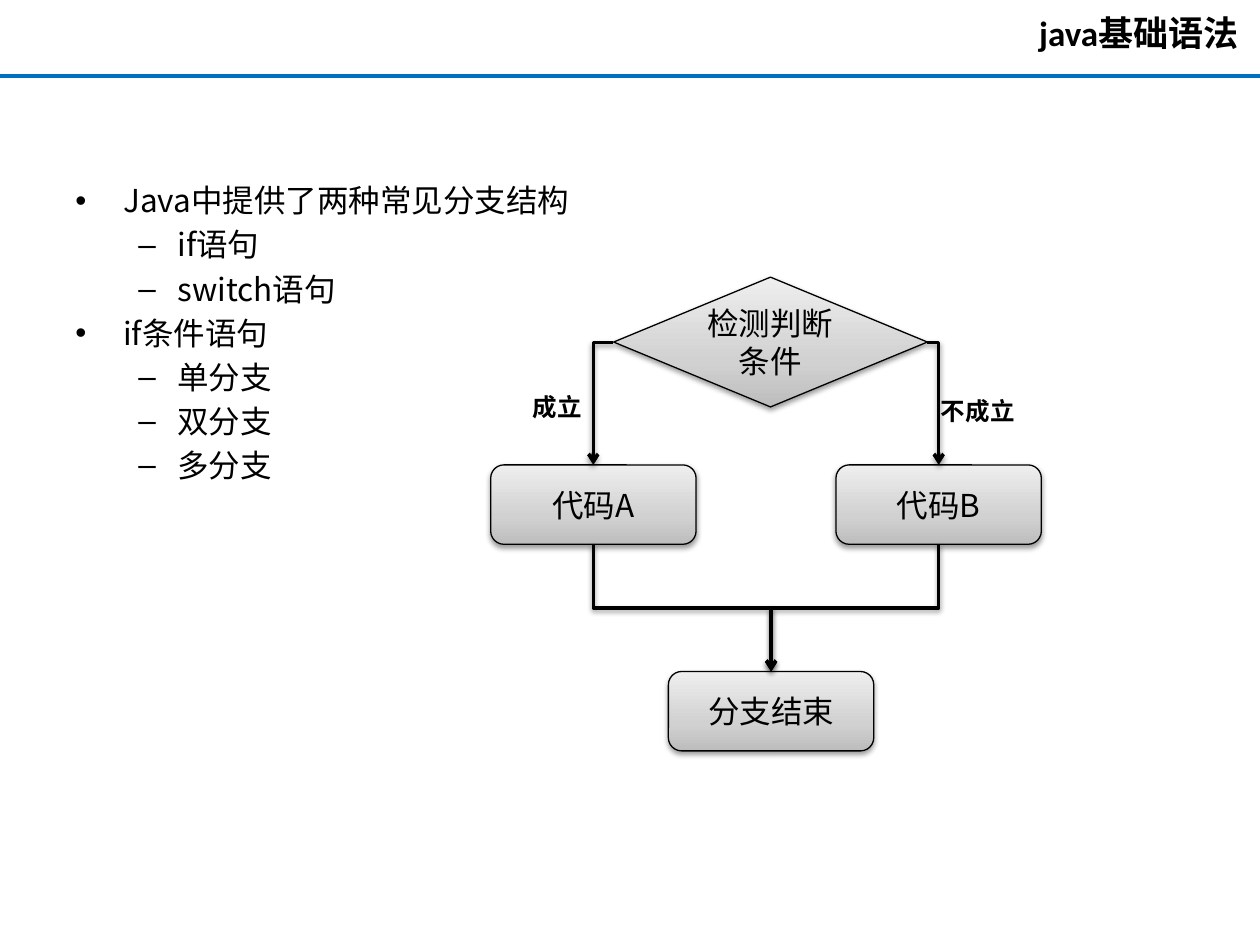
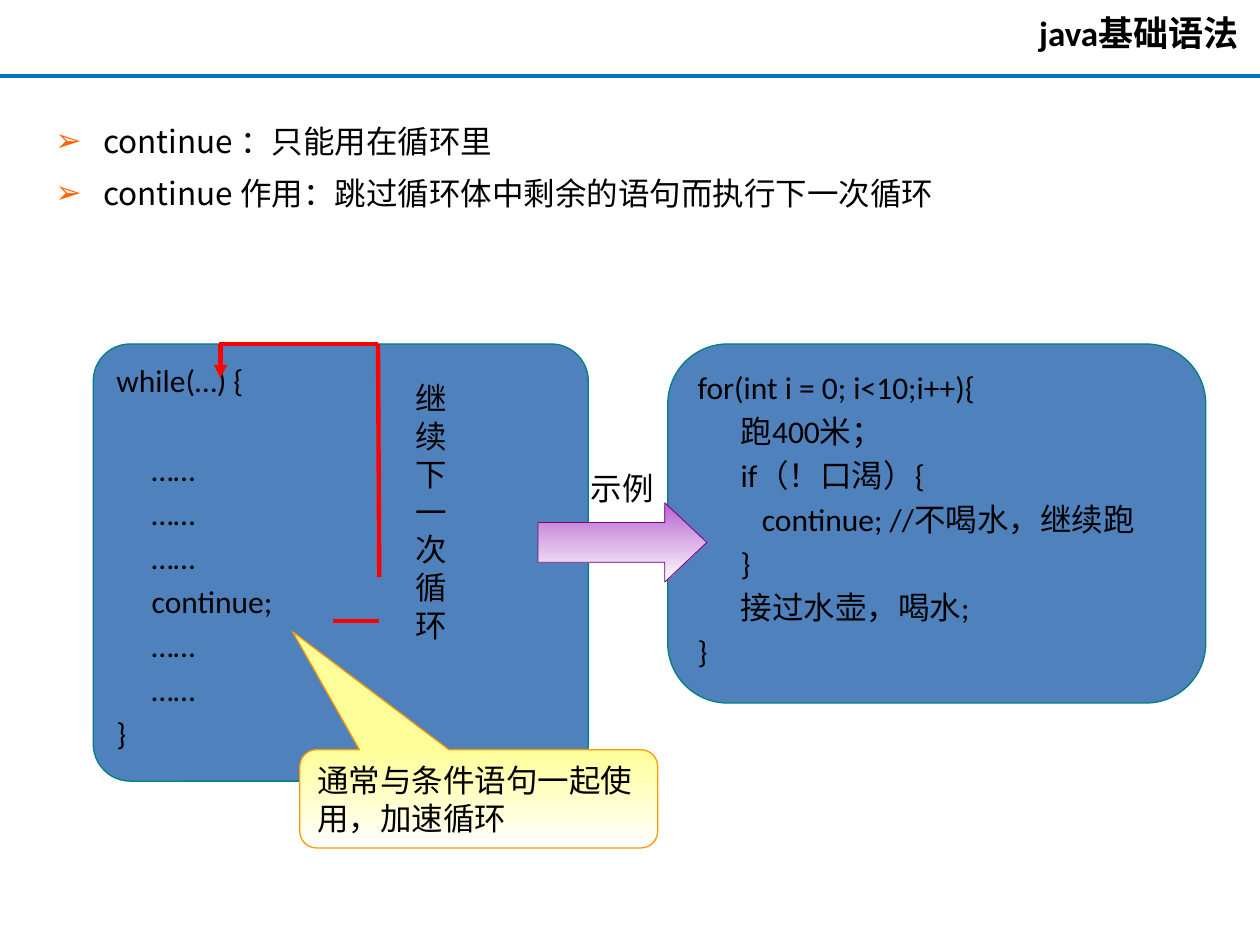
"""Build two slides on Java branches and the continue statement."""
from dataclasses import dataclass
from typing import Any, NamedTuple

from lxml import etree
from pptx import Presentation
from pptx import util as u
from pptx.dml.color import RGBColor
from pptx.enum import shapes, text
from pptx.oxml import ns

COLUMNS, ROWS = 100, 75
CELL = u.Inches(0.1)
SANS, CODE = "Noto Sans CJK SC", "Calibri"
BLACK, RED, RULE_BLUE, PANEL_BLUE, TEAL = "000000", "FF0000", "0070C0", "4F81BD", "008080"
GREY_STOPS = ((0, "BDBDBD"), (35, "D1D1D1"), (100, "EEEEEE"))
SHAPE = shapes.MSO_SHAPE
TOP, MIDDLE = text.MSO_ANCHOR.TOP, text.MSO_ANCHOR.MIDDLE
LEFT, CENTER, RIGHT = text.PP_ALIGN.LEFT, text.PP_ALIGN.CENTER, text.PP_ALIGN.RIGHT
GAP = 3.6
BRANCH_A, BRANCH_B, MERGE = 47.1, 74.5, 61.2
NODE_WIDTH, NODE_HEIGHT = 16.3, 6.3
CODE_ROW, END_ROW, TEST_ROW = 36.9, 53.3, 27.2


class Area(NamedTuple):
    left: float
    top: float
    width: float
    height: float


class Point(NamedTuple):
    column: float
    row: float


@dataclass(frozen=True)
class Line:
    words: str
    indent: float = 0
    hanging: float = 0
    bullet: str = ""
    bullet_color: str = ""
    before: float = GAP
    spacing: float = 1.0


@dataclass(frozen=True)
class Style:
    size: int = 18
    font: str = SANS
    bold: bool = False
    align: Any = LEFT
    anchor: Any = TOP
    wrap: bool = True


@dataclass(frozen=True)
class Look:
    line: str
    width: float = 0.75
    fill: str = ""
    stops: tuple = ()
    angle: int = 90
    shadow: bool = False


NODE_LOOK = Look(BLACK, stops=GREY_STOPS, angle=270, shadow=True)
PANEL_LOOK = Look(TEAL, fill=PANEL_BLUE)
NODE_STYLE = Style(align=CENTER, anchor=MIDDLE)
CODE_STYLE = Style(font=CODE)


def cells(*counts: float) -> list[int]:
    """Turn grid counts into lengths."""
    return [int(count * CELL) for count in counts]


def color(code: str) -> RGBColor:
    """Turn a hex string into a colour."""
    return RGBColor.from_string(code)


def assign(target: Any, values: dict[str, Any]) -> None:
    """Set every named attribute on a target."""
    for name, value in values.items():
        setattr(target, name, value)


def child(parent: Any, tag: str, **values: Any) -> Any:
    """Append a drawing element with its attributes."""
    return etree.SubElement(parent, ns.qn(f"a:{tag}"), {name: str(value) for name, value in values.items()})


def add_effects(item: Any, shadow: bool) -> None:
    """Replace the theme effects by a soft shadow or by none."""
    effects = child(item._element.spPr, "effectLst")
    if shadow:
        outer = child(effects, "outerShdw", blurRad=u.Pt(3.1), dist=u.Pt(1.6), dir=5400000, rotWithShape=0)
        child(child(outer, "srgbClr", val=BLACK), "alpha", val=38000)


def set_gradient(item: Any, stops: tuple, angle: int) -> None:
    """Fill a shape with a linear gradient."""
    item.fill.gradient()
    gradient = item._element.spPr.find(ns.qn("a:gradFill"))
    for part in list(gradient):
        gradient.remove(part)
    stop_list = child(gradient, "gsLst")
    for place, code in stops:
        child(child(stop_list, "gs", pos=place * 1000), "srgbClr", val=code)
    child(gradient, "lin", ang=angle * 60000, scaled=0)


def write(frame: Any, lines: list[Line], style: Style) -> None:
    """Write formatted paragraphs into a text frame."""
    assign(frame, {"word_wrap": style.wrap, "vertical_anchor": style.anchor, "auto_size": text.MSO_AUTO_SIZE.NONE})
    for index, line in enumerate(lines):
        para = frame.add_paragraph() if index else frame.paragraphs[0]
        before = line.before if index else 0
        assign(para, {"alignment": style.align, "space_before": u.Pt(before), "line_spacing": line.spacing})
        properties = para._p.get_or_add_pPr()
        properties.set("marL", str(u.Inches(line.indent)))
        properties.set("indent", str(-u.Inches(line.hanging)))
        if line.bullet_color:
            child(child(properties, "buClr"), "srgbClr", val=line.bullet_color)
        if line.bullet:
            child(properties, "buFont", typeface="Arial")
            child(properties, "buChar", char=line.bullet)
        span = para.add_run()
        span.text = line.words
        assign(span.font, {"size": u.Pt(style.size), "bold": style.bold, "name": style.font})
        span.font.color.rgb = color(BLACK)
        child(span._r.get_or_add_rPr(), "ea", typeface=SANS)


def add_text(page: Any, area: Area, lines: list[Line], style: Style) -> None:
    """Add a text box."""
    write(page.shapes.add_textbox(*cells(*area)).text_frame, lines, style)


def add_box(page: Any, kind: Any, area: Area, look: Look, lines: list[Line],
            style: Style = NODE_STYLE, adjust: tuple = ()) -> None:
    """Add a preset shape with its look and text."""
    box = page.shapes.add_shape(kind, *cells(*area))
    for index, value in enumerate(adjust):
        box.adjustments[index] = value
    if look.stops:
        set_gradient(box, look.stops, look.angle)
    else:
        box.fill.solid()
        box.fill.fore_color.rgb = color(look.fill)
    box.line.color.rgb = color(look.line)
    box.line.width = u.Pt(look.width)
    add_effects(box, look.shadow)
    if lines:
        write(box.text_frame, lines, style)


def add_line(page: Any, start: Point, end: Point, look: Look, head: str = "", preset: str = "line") -> Any:
    """Add a straight or bent connector."""
    link = page.shapes.add_connector(shapes.MSO_CONNECTOR.STRAIGHT, *cells(*start, *end))
    link._element.spPr.find(ns.qn("a:prstGeom")).set("prst", preset)
    link.line.color.rgb = color(look.line)
    link.line.width = u.Pt(look.width)
    if head:
        child(link.line._get_or_add_ln(), "tailEnd", type=head)
    add_effects(link, look.shadow)
    return link


def add_merge(page: Any, start: Point, end: Point, look: Look) -> None:
    """Add a connector that goes down, across and down again."""
    middle = Point((start.column + end.column) / 2, (start.row + end.row) / 2)
    half_width = (end.row - start.row) / 2
    half_height = abs(end.column - start.column) / 2
    side = 1 if start.column > end.column else -1
    link = add_line(page, Point(middle.column - side * half_width, middle.row - half_height),
                    Point(middle.column + side * half_width, middle.row + half_height),
                    look, "arrow", "bentConnector3")
    link._element.spPr.find(ns.qn("a:xfrm")).set("rot", str((90 if side > 0 else 270) * 60000))


def new_page(deck: Any) -> Any:
    """Add a page with the shared title and rule."""
    page = deck.slides.add_slide(deck.slide_layouts[5])
    title = page.shapes.title
    assign(title, dict(zip(("left", "top", "width", "height"), cells(68.9, 0.4, 31.1, 4.4))))
    title.text_frame.margin_right = u.Inches(0.17)
    write(title.text_frame, [Line("java基础语法")], Style(20, CODE, True, RIGHT))
    add_line(page, Point(0, 6), Point(COLUMNS, 6), Look(RULE_BLUE, 2.25))
    return page


def add_node(page: Any, center: float, top: float, words: str) -> None:
    """Add a flowchart step centred on a column."""
    area = Area(center - NODE_WIDTH / 2, top, NODE_WIDTH, NODE_HEIGHT)
    add_box(page, SHAPE.ROUNDED_RECTANGLE, area, NODE_LOOK, [Line(words)])


def build_branches(deck: Any) -> None:
    """Build the page on branch structures."""
    page = new_page(deck)
    outline = (("Java中提供了两种常见分支结构", ("if语句", "switch语句")),
               ("if条件语句", ("单分支", "双分支", "多分支")))
    lines = []
    for topic, details in outline:
        lines.append(Line(topic, 0.38, 0.38, "•"))
        lines.extend(Line(detail, 0.81, 0.31, "–") for detail in details)
    add_text(page, Area(5, 13.9, 90, 49.5), lines, Style())
    test = Area(48.7, 22, 24.9, 10.3)
    add_box(page, SHAPE.DIAMOND, test, NODE_LOOK, [Line("检测判断条件")], NODE_STYLE)
    for center, top, words in ((BRANCH_A, CODE_ROW, "代码A"), (BRANCH_B, CODE_ROW, "代码B"),
                               (MERGE, END_ROW, "分支结束")):
        add_node(page, center, top, words)
    flow = Look(BLACK, 2, shadow=True)
    for corner, center in ((test.left, BRANCH_A), (test.left + test.width, BRANCH_B)):
        add_line(page, Point(corner, TEST_ROW), Point(center, CODE_ROW), flow, "arrow", "bentConnector2")
        add_merge(page, Point(center, CODE_ROW + NODE_HEIGHT), Point(MERGE, END_ROW), flow)
    label = Style(14, bold=True, wrap=False)
    add_text(page, Area(41.3, 30.6, 6.5, 3.4), [Line("成立")], label)
    add_text(page, Area(73.7, 30.9, 8.7, 3.4), [Line("不成立")], label)


def build_continue(deck: Any) -> None:
    """Build the page on the continue statement."""
    page = new_page(deck)
    points = (("continue ：只能用在循环里", 1.0), ("continue 作用：跳过循环体中剩余的语句而执行下一次循环", 1.2))
    add_text(page, Area(3.4, 9.2, 94.9, 49.5),
             [Line(words, 0.38, 0.38, "➢", "FF6600", spacing=spacing) for words, spacing in points], Style())
    dots = Line("……", 0.28)
    loop = [Line("while(…) {"), Line("……", 0.28, before=29), dots, dots,
            Line("continue;", 0.28), dots, dots, Line("}")]
    add_box(page, SHAPE.ROUNDED_RECTANGLE, Area(7.4, 27.3, 39.3, 34.7), PANEL_LOOK, loop, CODE_STYLE, (0.085,))
    jump = Look(RED, 2.5)
    for start, end, head in ((Point(30.1, 49.3), Point(26.4, 49.3), ""),
                             (Point(17.4, 27.3), Point(30, 27.3), ""),
                             (Point(30, 27.3), Point(30.1, 45.8), ""),
                             (Point(17.5, 27.3), Point(17.5, 30), "triangle")):
        add_line(page, start, end, jump, head)
    add_text(page, Area(32, 29.6, 5, 22.8), [Line("继续下一次循环")], CODE_STYLE)
    add_box(page, SHAPE.ROUNDED_RECTANGULAR_CALLOUT, Area(23.8, 59.5, 28.4, 7.8),
            Look("FF9900", stops=((0, "FFFF99"), (100, "FFFFFF"))),
            [Line("通常与条件语句一起使用，加速循环")], CODE_STYLE, (-0.52, -1.7, 0.17))
    example = [Line("for(int i = 0; i<10;i++){"), Line("跑400米；", 0.34), Line("if（！口渴）{", 0.34),
               Line("continue; //不喝水，继续跑", 0.51), Line("}", 0.34), Line("接过水壶，喝水;", 0.34), Line("}")]
    add_box(page, SHAPE.ROUNDED_RECTANGLE, Area(53, 27.3, 42.7, 28.5), PANEL_LOOK, example, CODE_STYLE, (0.167,))
    add_box(page, SHAPE.RIGHT_ARROW, Area(42.7, 39.9, 13.4, 6.3),
            Look("800080", 0.5, stops=((0, "B563CF"), (100, "FFFFFF"))), [], adjust=(0.5, 0.53))
    add_text(page, Area(45.9, 36.7, 9.4, 4), [Line("示例")], CODE_STYLE)


def main() -> None:
    """Build and save the deck."""
    deck = Presentation()
    deck.slide_width, deck.slide_height = cells(COLUMNS, ROWS)
    build_branches(deck)
    build_continue(deck)
    deck.save("out.pptx")


if __name__ == "__main__":
    main()
